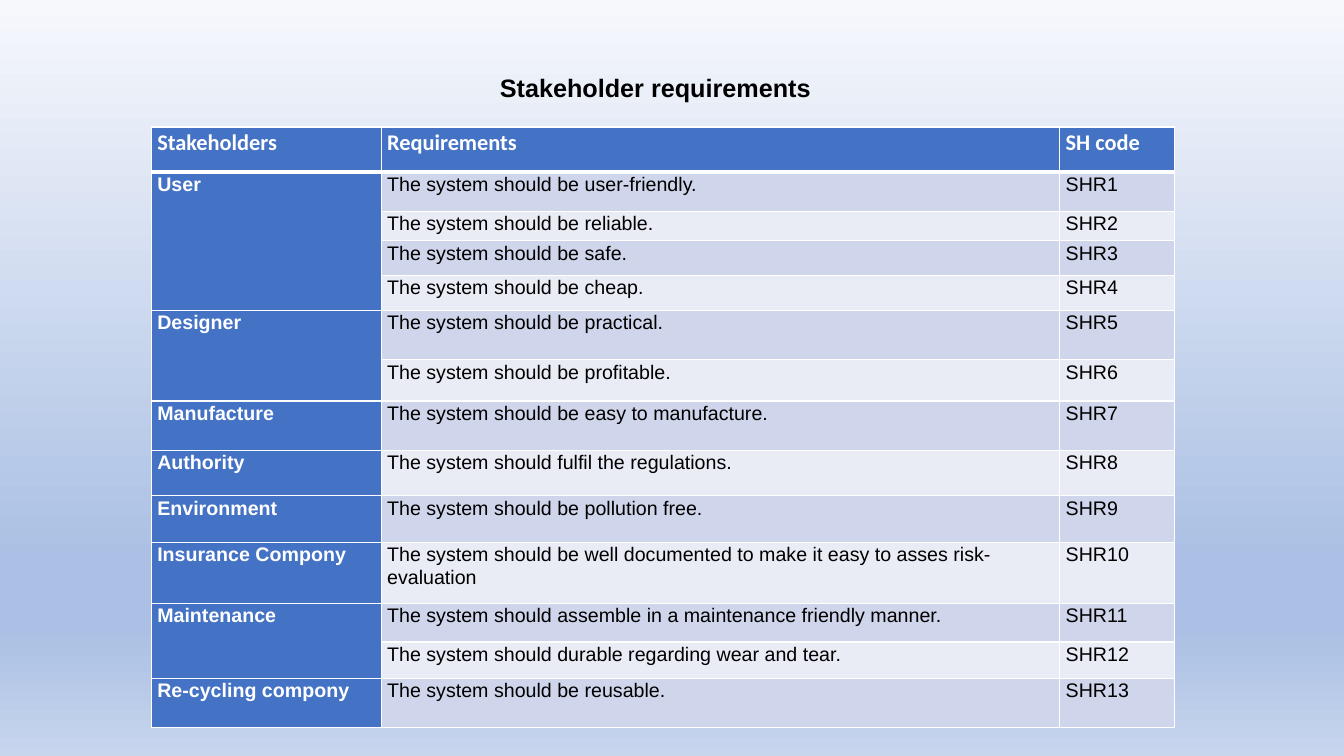
from dataclasses import dataclass

from lxml.etree import SubElement
from pptx import Presentation
from pptx.dml.color import RGBColor
from pptx.enum.text import MSO_ANCHOR as Anchor, PP_ALIGN as Align
from pptx.oxml.ns import qn
from pptx.util import Inches, Pt


@dataclass(frozen=True)
class Theme:
    accent: str = "4472C4"
    bands: tuple = ("CFD5EA", "E9EBF5")
    light: str = "FFFFFF"
    dark: str = "000000"
    backdrop: tuple = ((0, "F6F8FC"), (74, "ABC0E4"), (83, "ABC0E4"), (100, "C7D5ED"))
    body_font: str = "Arial"
    header_font: str = "Calibri"
    title_size: int = 18
    header_size: int = 16
    body_size: int = 14
    thin: int = 1
    thick: int = 3


HEADERS = ("Stakeholders", "Requirements", "SH code")
REQUIREMENTS = (
    ("User", ("The system should be user-friendly.", "The system should be reliable.",
              "The system should be safe.", "The system should be cheap.")),
    ("Designer", ("The system should be practical.", "The system should be profitable.")),
    ("Manufacture", ("The system should be easy to manufacture.",)),
    ("Authority", ("The system should fulfil the regulations.",)),
    ("Environment", ("The system should be pollution free.",)),
    ("Insurance Compony", ("The system should be well documented to make it easy to asses "
                           "risk-evaluation",)),
    ("Maintenance", ("The system should assemble in a maintenance friendly manner.",
                     "The system should durable regarding wear and tear.")),
    ("Re-cycling compony", ("The system should be reusable.",)),
)
COLUMN_WIDTHS = (2.28, 6.73, 1.14)
ROW_HEIGHTS = (0.45, 0.39, 0.29, 0.34, 0.35, 0.49, 0.41,
               0.49, 0.45, 0.46, 0.61, 0.38, 0.36, 0.49)


class SlideBuilder:
    def __init__(self, slide, theme):
        self.slide = slide
        self.theme = theme

    def style_text(self, paragraph, size, color, bold, font):
        for run in paragraph.runs:
            run.font.size = Pt(size)
            run.font.name = font
            run.font.bold = bold
            run.font.color.rgb = RGBColor.from_string(color)

    def background(self):
        fill = self.slide.background.fill
        fill.gradient()
        fill.gradient_angle = 270
        stops = next(self.slide.element.iter(qn("a:gsLst")))
        for stop in list(stops):
            stops.remove(stop)
        for percent, color in self.theme.backdrop:
            stop = SubElement(stops, qn("a:gs"), pos=str(percent * 1000))
            SubElement(stop, qn("a:srgbClr"), val=color)

    def title(self, wording, left, top, width, height):
        title = self.slide.shapes.title
        title.left, title.top = Inches(left), Inches(top)
        title.width, title.height = Inches(width), Inches(height)
        frame = title.text_frame
        frame.text = wording
        frame.vertical_anchor = Anchor.BOTTOM
        frame.margin_bottom = Inches(0.09)
        heading = frame.paragraphs[0]
        heading.alignment = Align.CENTER
        heading.line_spacing = 0.9
        self.style_text(heading, self.theme.title_size, self.theme.dark, True,
                        self.theme.body_font)

    def borders(self, cell, top, bottom):
        """Draw white edges; top and bottom are widths in points."""
        thin = self.theme.thin
        properties = cell._tc.get_or_add_tcPr()
        for side, width in (("L", thin), ("R", thin), ("T", top), ("B", bottom)):
            edge = SubElement(properties, qn(f"a:ln{side}"), w=str(Pt(width)))
            solid = SubElement(edge, qn("a:solidFill"))
            SubElement(solid, qn("a:srgbClr"), val=self.theme.light)

    def cell(self, cell, wording, row, column):
        theme = self.theme
        header = row == 0
        emphasised = header or column == 0
        cell.margin_left = cell.margin_right = Inches(0.06)
        cell.margin_top = cell.margin_bottom = 0
        self.borders(cell, theme.thick if row == 1 else theme.thin,
                     theme.thick if header else theme.thin)
        cell.fill.solid()
        cell.fill.fore_color.rgb = RGBColor.from_string(
            theme.accent if emphasised else theme.bands[(row - 1) % 2])
        if not wording:
            return
        cell.text_frame.text = wording
        paragraph = cell.text_frame.paragraphs[0]
        paragraph.line_spacing = 1.07
        paragraph.space_after = Pt(8)
        self.style_text(paragraph, theme.header_size if header else theme.body_size,
                        theme.light if emphasised else theme.dark, emphasised,
                        theme.header_font if header else theme.body_font)

    def requirements_table(self, left, top):
        rows, spans = [HEADERS], []
        for stakeholder, requirements in REQUIREMENTS:
            first = len(rows)
            for index, requirement in enumerate(requirements):
                rows.append(("" if index else stakeholder, requirement, f"SHR{len(rows)}"))
            spans.append((first, len(rows) - 1))

        table = self.slide.shapes.add_table(
            len(rows), len(HEADERS), Inches(left), Inches(top),
            Inches(sum(COLUMN_WIDTHS)), Inches(sum(ROW_HEIGHTS))).table
        for column, width in zip(table.columns, COLUMN_WIDTHS):
            column.width = Inches(width)
        for row, height in zip(table.rows, ROW_HEIGHTS):
            row.height = Inches(height)
        for r, wordings in enumerate(rows):
            for c, wording in enumerate(wordings):
                self.cell(table.cell(r, c), wording, r, c)
        for first, last in spans:
            if last > first:
                table.cell(first, 0).merge(table.cell(last, 0))


def main():
    deck = Presentation()
    deck.slide_width, deck.slide_height = Inches(13.33), Inches(7.5)
    title_only = deck.slide_layouts[5]
    builder = SlideBuilder(deck.slides.add_slide(title_only), Theme())
    builder.background()
    builder.title("Stakeholder requirements", 1.18, 0.28, 10.64, 0.83)
    builder.requirements_table(1.5, 1.26)
    deck.save("out.pptx")


if __name__ == "__main__":
    main()
